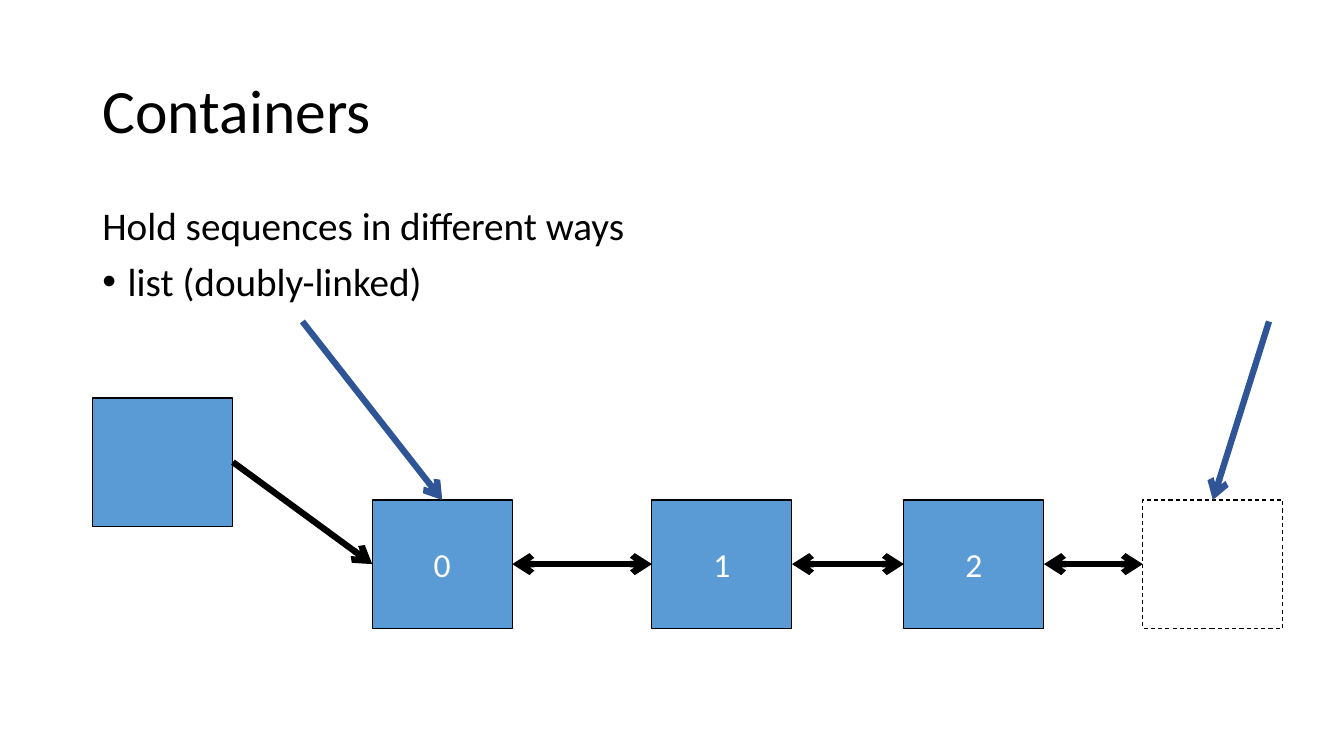
from lxml import etree
from pptx import Presentation
from pptx.dml.color import RGBColor
from pptx.enum import dml, shapes, text
from pptx.oxml.ns import qn
from pptx.util import Cm, Pt

COLORS = {"ink": "000000", "node": "5B9BD5", "label": "FFFFFF", "iterator": "2F5597"}
FONT = "Calibri"
NODE_W, NODE_H = 3.53, 3.23
ROW_TOP = 12.6
TOP, LEFT, RIGHT = 0, 1, 3  # connection sites of a rectangle


def color(name):
    return RGBColor.from_string(COLORS[name])


def write(paragraph, words, size=28, ink="ink", align=text.PP_ALIGN.LEFT,
          line_spacing=None, before=0, bullet=None, indent=0.64):
    """Fill one paragraph with formatted text."""
    paragraph.alignment = align
    paragraph.space_before = Pt(before)
    if line_spacing:
        paragraph.line_spacing = line_spacing
    if bullet:
        props = paragraph._p.get_or_add_pPr()
        props.set("marL", str(Cm(indent)))
        props.set("indent", str(-Cm(indent)))
        etree.SubElement(props, qn("a:buFont")).set("typeface", "Arial")
        etree.SubElement(props, qn("a:buChar")).set("char", bullet)
    run = paragraph.add_run()
    run.text = words
    run.font.name = FONT
    run.font.size = Pt(size)
    run.font.color.rgb = color(ink)


def add_title(slide, words):
    title = slide.shapes.title
    title.left, title.top, title.width, title.height = Cm(2.33), Cm(1.01), Cm(29.21), Cm(3.68)
    frame = title.text_frame
    frame.auto_size = text.MSO_AUTO_SIZE.NONE
    frame.vertical_anchor = text.MSO_ANCHOR.MIDDLE
    write(frame.paragraphs[0], words, size=44, line_spacing=0.9)


def add_body(slide, intro, item):
    body = slide.shapes.add_textbox(Cm(2.33), Cm(5.07), Cm(29.21), Cm(12.09))
    frame = body.text_frame
    frame.word_wrap = True
    write(frame.paragraphs[0], intro, line_spacing=0.9)
    write(frame.add_paragraph(), item, line_spacing=0.9, before=10, bullet="•")


def add_node(slide, left, top=ROW_TOP, label=None, past_end=False):
    node = slide.shapes.add_shape(shapes.MSO_SHAPE.RECTANGLE,
                                  Cm(left), Cm(top), Cm(NODE_W), Cm(NODE_H))
    node.shadow.inherit = False
    node.line.color.rgb = color("ink")
    node.line.width = Pt(0.75)
    if past_end:
        node.fill.background()
        node.line.dash_style = dml.MSO_LINE.DASH
    else:
        node.fill.solid()
        node.fill.fore_color.rgb = color("node")
    if label:
        frame = node.text_frame
        frame.word_wrap = False
        frame.vertical_anchor = text.MSO_ANCHOR.MIDDLE
        write(frame.paragraphs[0], label, size=24, ink="label", align=text.PP_ALIGN.CENTER)
    return node


def add_arrow(slide, target, site, source=None, start=(0, 0), ink="ink", both=False):
    """Point at a site of target, from the right of source or from a free start."""
    x, y = (Cm(value) for value in start)
    arrow = slide.shapes.add_connector(shapes.MSO_CONNECTOR.STRAIGHT, x, y, x, y)
    if source is not None:
        arrow.begin_connect(source, RIGHT)
    arrow.end_connect(target, site)
    arrow.line.color.rgb = color(ink)
    arrow.line.width = Pt(4.5)
    line = arrow.line._ln
    for end in ("a:headEnd", "a:tailEnd") if both else ("a:tailEnd",):
        etree.SubElement(line, qn(end)).set("type", "arrow")
    etree.SubElement(arrow._element.spPr, qn("a:effectLst"))


def main():
    prs = Presentation()
    prs.slide_width, prs.slide_height = Cm(33.87), Cm(19.05)
    slide = prs.slides.add_slide(prs.slide_layouts[5])

    # Heading and text
    add_title(slide, "Containers")
    add_body(slide, "Hold sequences in different ways", "list (doubly-linked)")

    # List object, its elements and the place past the end
    list_head = add_node(slide, 2.34, top=10.03)
    elements = [add_node(slide, left, label=str(value))
                for value, left in enumerate((9.38, 16.43, 22.78))]
    end = add_node(slide, 28.8, past_end=True)

    # Links between neighbours
    chain = elements + [end]
    for previous, following in zip(chain, chain[1:]):
        add_arrow(slide, following, LEFT, source=previous, both=True)
    add_arrow(slide, elements[0], LEFT, source=list_head)

    # Iterators to the first element and past the end
    add_arrow(slide, elements[0], TOP, start=(7.62, 8.1), ink="iterator")
    add_arrow(slide, end, TOP, start=(31.98, 8.1), ink="iterator")

    prs.save("out.pptx")


if __name__ == "__main__":
    main()
